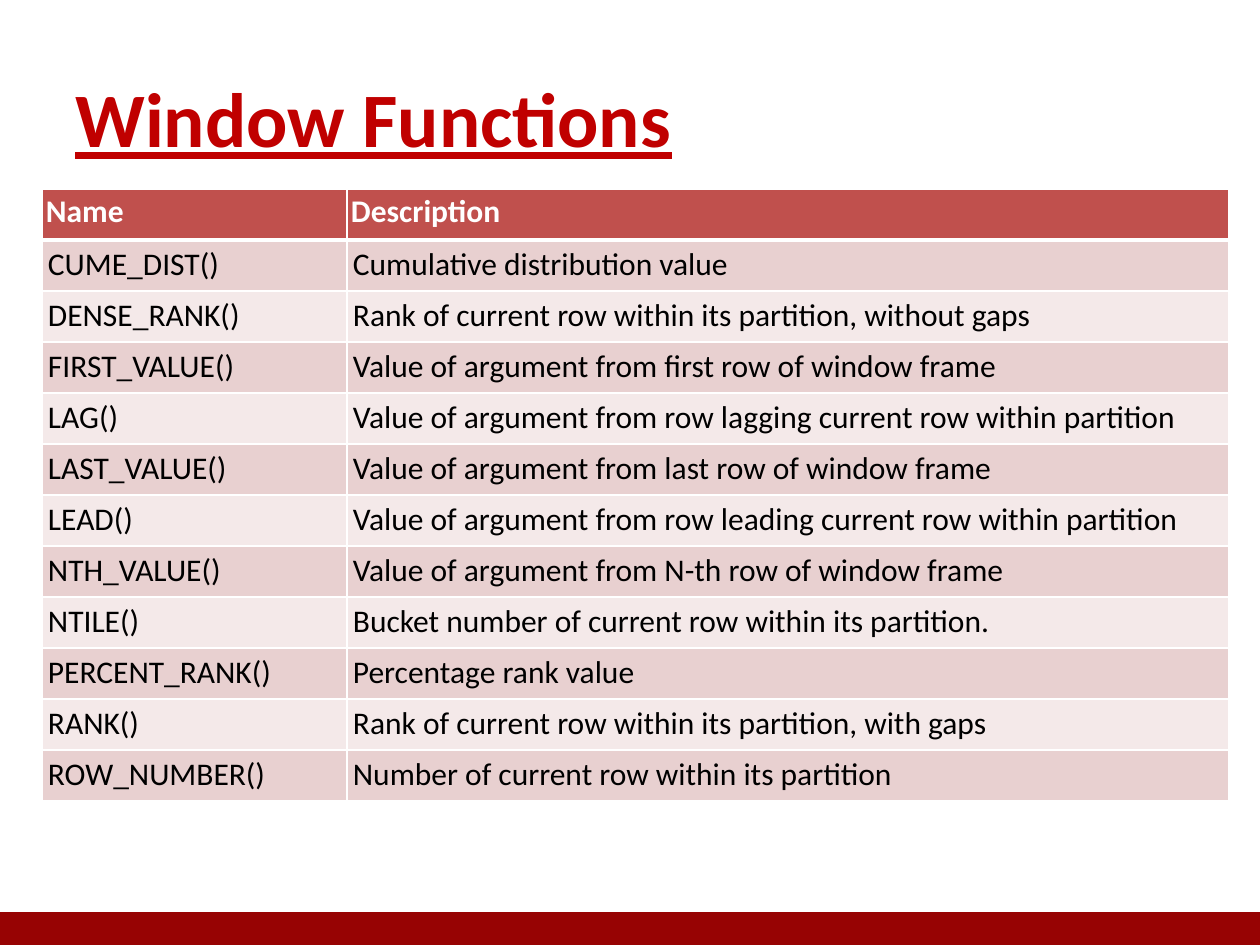
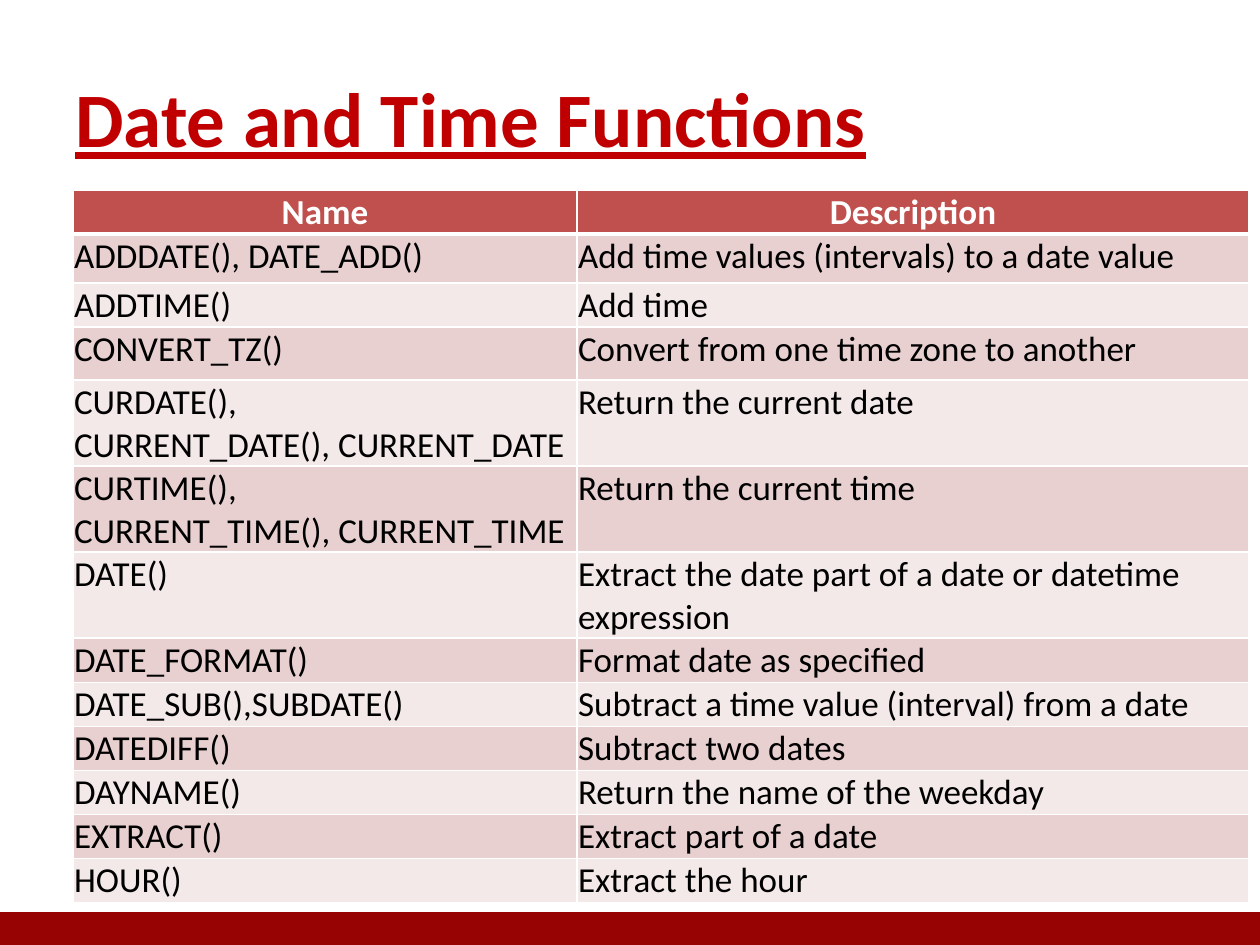
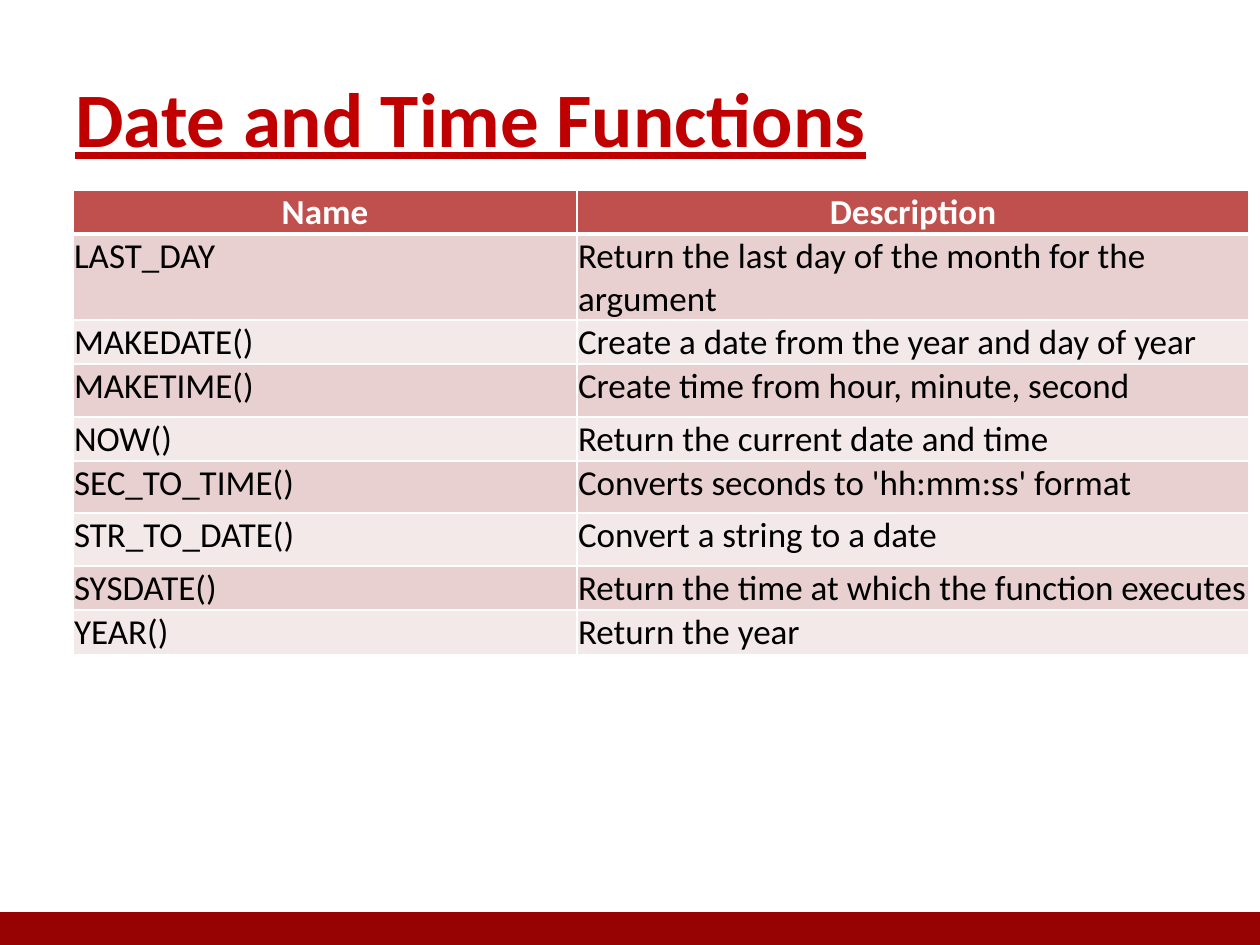
"""Builds three slides that list SQL window, date and time functions in tables."""
from dataclasses import dataclass

from lxml.etree import SubElement
from pptx import Presentation
from pptx.dml.color import RGBColor
from pptx.enum.shapes import MSO_SHAPE as Preset
from pptx.enum.text import MSO_ANCHOR as Anchor, PP_ALIGN as Align
from pptx.oxml.ns import qn
from pptx.util import Emu, Pt

WINDOW_ROWS = [
    ("Name", "Description"),
    ("CUME_DIST()", "Cumulative distribution value"),
    ("DENSE_RANK()", "Rank of current row within its partition, without gaps"),
    ("FIRST_VALUE()", "Value of argument from first row of window frame"),
    ("LAG()", "Value of argument from row lagging current row within partition"),
    ("LAST_VALUE()", "Value of argument from last row of window frame"),
    ("LEAD()", "Value of argument from row leading current row within partition"),
    ("NTH_VALUE()", "Value of argument from N-th row of window frame"),
    ("NTILE()", "Bucket number of current row within its partition."),
    ("PERCENT_RANK()", "Percentage rank value"),
    ("RANK()", "Rank of current row within its partition, with gaps"),
    ("ROW_NUMBER()", "Number of current row within its partition"),
]
DATE_ROWS = [
    ("Name", "Description"),
    ("ADDDATE(), DATE_ADD()", "Add time values (intervals) to a date value"),
    ("ADDTIME()", "Add time"),
    ("CONVERT_TZ()", "Convert from one time zone to another"),
    ("CURDATE(), CURRENT_DATE(),\u00a0CURRENT_DATE", "Return the current date"),
    ("CURTIME(), CURRENT_TIME(),\u00a0CURRENT_TIME", "Return the current time"),
    ("DATE()", "Extract the date part of a date or datetime expression"),
    ("DATE_FORMAT()", "Format date as specified"),
    ("DATE_SUB(),SUBDATE()", "Subtract a time value (interval) from a date"),
    ("DATEDIFF()", "Subtract two dates"),
    ("DAYNAME()", "Return the name of the weekday"),
    ("EXTRACT()", "Extract part of a date"),
    ("HOUR()", "Extract the hour"),
]
TIME_ROWS = [
    ("Name", "Description"),
    ("LAST_DAY", "Return the last day of the month for the argument"),
    ("MAKEDATE()", "Create a date from the year and day of year"),
    ("MAKETIME()", "Create time from hour, minute, second"),
    ("NOW()", "Return the current date and time"),
    ("SEC_TO_TIME()", "Converts seconds to 'hh:mm:ss' format"),
    ("STR_TO_DATE()", "Convert a string to a date"),
    ("SYSDATE()", "Return the time at which the function executes"),
    ("YEAR()", "Return the year"),
]


@dataclass(frozen=True)
class Theme:
    font: str = "Calibri"
    title: str = "C00000"
    footer: str = "970303"
    header: str = "C0504D"
    bands: tuple = ("E8D0D0", "F4E9E9")
    light: str = "FFFFFF"
    dark: str = "000000"
    title_size: int = 44
    footer_line: int = 2
    grid_line: int = 1
    header_line: int = 3


@dataclass(frozen=True)
class TableStyle:
    left: int
    top: int
    columns: tuple
    size: int
    header_inset: int
    body_inset: int
    header_align: Align


THEME = Theme()
WIDE = TableStyle(42, 189, (305, 882), 18, 4, 6, Align.LEFT)
COMPACT = TableStyle(73, 190, (504, 672), 20, 1, 1, Align.CENTER)

SLIDES = [
    ("Window Functions", WIDE, WINDOW_ROWS, [51] * 12),
    ("Date and Time Functions", COMPACT, DATE_ROWS,
     [44, 49, 44, 53] + [74] * 3 + [44] * 2 + [42] * 4),
    ("Date and Time Functions", COMPACT, TIME_ROWS,
     [44, 49, 44, 53, 44, 52, 53, 44, 44]),
]
WIDTH, HEIGHT, FOOTER_TOP = 1260, 945, 914
TITLE_BOX = (63, 38, 1134, 158)


def px(length):
    return Emu(round(length * 914400 / 126))


def format_text(paragraph, size, color, bold, underline=False):
    for run in paragraph.runs:
        font = run.font
        font.name, font.size = THEME.font, Pt(size)
        font.bold, font.underline = bold, underline
        font.color.rgb = RGBColor.from_string(color)


def set_borders(cell, top, bottom):
    properties = cell._tc.get_or_add_tcPr()
    widths = {"L": THEME.grid_line, "R": THEME.grid_line, "T": top, "B": bottom}
    for side, width in widths.items():
        line = SubElement(properties, qn(f"a:ln{side}"), w=str(Pt(width)))
        fill = SubElement(line, qn("a:solidFill"))
        SubElement(fill, qn("a:srgbClr"), val=THEME.light)


def add_footer(slide):
    band = slide.shapes.add_shape(
        Preset.RECTANGLE, 0, px(FOOTER_TOP), px(WIDTH), px(HEIGHT - FOOTER_TOP))
    color = RGBColor.from_string(THEME.footer)
    band.shadow.inherit = False
    band.fill.solid()
    band.fill.fore_color.rgb = color
    band.line.color.rgb = color
    band.line.width = Pt(THEME.footer_line)


def add_title(slide, text):
    frame = slide.shapes.add_textbox(*map(px, TITLE_BOX)).text_frame
    frame.word_wrap = True
    frame.vertical_anchor = Anchor.MIDDLE
    frame.text = text
    format_text(frame.paragraphs[0], THEME.title_size, THEME.title, True, True)


def fill_cell(cell, text, row, style):
    is_header = row == 0
    set_borders(cell,
                THEME.header_line if row == 1 else THEME.grid_line,
                THEME.header_line if is_header else THEME.grid_line)
    cell.fill.solid()
    cell.fill.fore_color.rgb = RGBColor.from_string(
        THEME.header if is_header else THEME.bands[(row - 1) % 2])
    inset = px(style.header_inset if is_header else style.body_inset)
    cell.margin_left = cell.margin_right = inset
    cell.margin_top = cell.margin_bottom = inset
    cell.text = text
    paragraph = cell.text_frame.paragraphs[0]
    paragraph.alignment = style.header_align if is_header else Align.LEFT
    format_text(paragraph, style.size,
                THEME.light if is_header else THEME.dark, is_header)


def add_function_table(slide, style, rows, heights):
    table = slide.shapes.add_table(
        len(rows), len(style.columns), px(style.left), px(style.top),
        px(sum(style.columns)), px(sum(heights))).table
    table.horz_banding = False
    for column, width in zip(table.columns, style.columns):
        column.width = px(width)
    for index, (texts, height) in enumerate(zip(rows, heights)):
        table.rows[index].height = px(height)
        for cell, text in zip(table.rows[index].cells, texts):
            fill_cell(cell, text, index, style)


def main():
    presentation = Presentation()
    presentation.slide_width, presentation.slide_height = px(WIDTH), px(HEIGHT)
    blank = presentation.slide_layouts[6]
    for title, style, rows, heights in SLIDES:
        slide = presentation.slides.add_slide(blank)
        add_footer(slide)
        add_title(slide, title)
        add_function_table(slide, style, rows, heights)
    presentation.save("out.pptx")


main()
